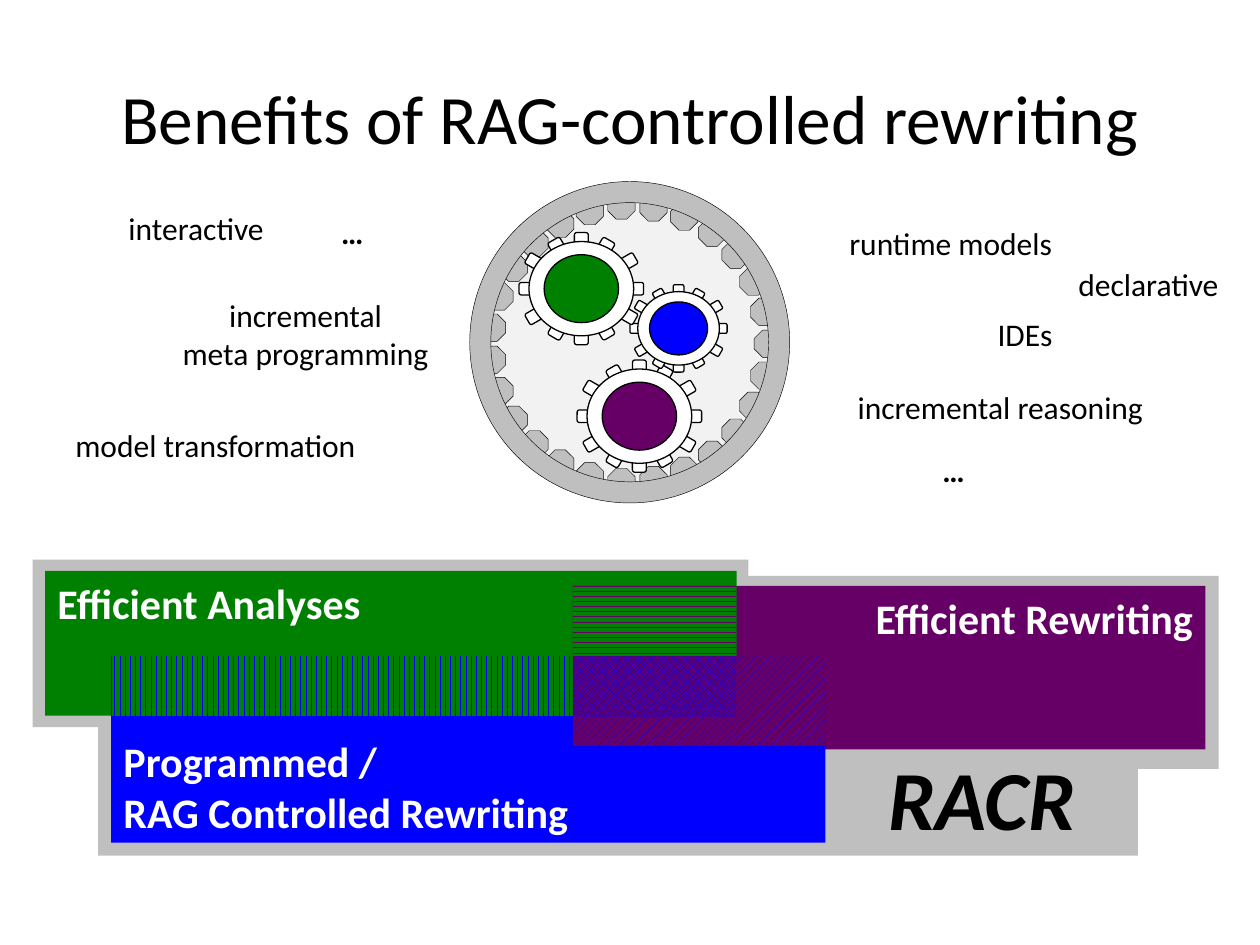
"""Build the slide on the benefits of RAG-controlled rewriting."""
from dataclasses import dataclass
from math import cos, radians, sin

from pptx import Presentation
from pptx.dml.color import RGBColor as Rgb
from pptx.enum.dml import MSO_PATTERN_TYPE as Hatch
from pptx.enum.shapes import MSO_SHAPE as Kind
from pptx.enum.text import MSO_ANCHOR as Anchor
from pptx.enum.text import MSO_AUTO_SIZE as Fit
from pptx.enum.text import PP_ALIGN as Align
from pptx.util import Cm, Pt


@dataclass(frozen=True)
class Theme:
    """Hold the colours and type sizes."""
    font: str = "Calibri"
    black: Rgb = Rgb(0, 0, 0)
    white: Rgb = Rgb(255, 255, 255)
    pale: Rgb = Rgb(0xF2, 0xF2, 0xF2)
    grey: Rgb = Rgb(0xBF, 0xBF, 0xBF)
    green: Rgb = Rgb(0, 0x80, 0)
    blue: Rgb = Rgb(0, 0, 255)
    plum: Rgb = Rgb(0x66, 0, 0x66)
    title: float = 39.6
    label: float = 18
    head: float = 24
    logo: float = 48
    thin: float = 0.25
    line: float = 0.75


T = Theme()


def write(shape, text, size, color=T.black, align=Align.LEFT,
          anchor=Anchor.TOP, bold=False, italic=False):
    """Set the text of a shape and format it."""
    frame = shape.text_frame
    frame.text = text
    frame.vertical_anchor = anchor
    for para in frame.paragraphs:
        para.alignment = align
        for run in para.runs:
            font = run.font
            font.name, font.size = T.font, Pt(size)
            font.bold, font.italic = bold, italic
            font.color.rgb = color


def add_text(slide, box, text, size, wrap=True, **style):
    """Add a text box."""
    shape = slide.shapes.add_textbox(*map(Cm, box))
    write(shape, text, size, **style)
    shape.text_frame.word_wrap = wrap
    if not wrap:
        shape.text_frame.auto_size = Fit.SHAPE_TO_FIT_TEXT
    return shape


def add_form(home, kind, box, fill, line=0, adj=None, turn=0):
    """Add a filled preset shape."""
    shape = home.shapes.add_shape(kind, *map(Cm, box))
    shape.shadow.inherit = False
    shape.rotation = turn
    if adj is not None:
        shape.adjustments[0] = adj
    shape.fill.solid()
    shape.fill.fore_color.rgb = fill
    if line:
        shape.line.color.rgb = T.black
        shape.line.width = Pt(line)
    else:
        shape.line.fill.background()
    return shape


def add_mid(home, kind, x, y, wide, high, fill, line, **more):
    """Add a shape by its centre."""
    box = (x - wide / 2, y - high / 2, wide, high)
    return add_form(home, kind, box, fill, line, **more)


def add_ring(slide, x, y, radius, count):
    """Add the inner teeth of the outer wheel."""
    group = slide.shapes.add_group_shape()
    for i in range(count):
        turn = radians(360 * i / count)
        add_mid(group, Kind.OCTAGON, x + radius * cos(turn),
                y + radius * sin(turn), 0.55, 0.55, T.grey, T.thin, adj=0.308)


def add_gear(slide, x, y, color, scale=1):
    """Add a gear with twelve teeth and a coloured hub."""
    group = slide.shapes.add_group_shape()
    for turn in (0, 270, 300, 330, 240, 210):
        size = (0.25, 2.51) if 240 <= turn <= 300 else (0.28, 2.26)
        add_mid(group, Kind.ROUNDED_RECTANGLE, x, y,
                *(scale * s for s in size), T.white, T.line, turn=turn)
    for wide, high, fill in ((2.11, 1.9, T.white), (1.5, 1.37, color)):
        add_mid(group, Kind.OVAL, x, y, scale * wide, scale * high,
                fill, T.line)


def add_tile(slide, left, top, right, low, hatch, fore, back):
    """Add a hatched overlap between two blocks."""
    box = (left, top, right - left, low - top)
    fill = add_form(slide, Kind.RECTANGLE, box, back).fill
    fill.patterned()
    fill.pattern = hatch
    fill.fore_color.rgb, fill.back_color.rgb = fore, back


def add_labels(slide):
    """Add the words around the wheel."""
    mid = Align.CENTER
    for x, y, wide, text, align in (
            (2.34, 4.09, 3.3, "interactive", None),
            (16.84, 4.39, 4.65, "runtime models", mid),
            (1.27, 8.46, 6.25, "model transformation", None),
            (17.04, 7.7, 6.35, "incremental reasoning", None),
            (3.38, 5.84, 5.56, "incremental\nmeta programming", mid),
            (19.86, 6.22, 1.63, "IDEs", None),
            (18.75, 8.97, 0.97, "…", None),
            (6.63, 4.17, 0.97, "…", None),
            (21.49, 5.21, 3.38, "declarative", None)):
        high = 1.8 if "\n" in text else 1.02
        add_text(slide, (x, y, wide, high), text, T.label, wrap=False,
                 align=align, bold=text == "…")


def add_wheel(slide):
    """Add the outer wheel and its three gears."""
    add_form(slide, Kind.DONUT, (9.47, 3.66, 6.45, 6.48), T.grey,
             T.thin, adj=0.066)
    add_gear(slide, 12.89, 8.39, T.plum)
    add_gear(slide, 13.68, 6.62, T.blue, 0.78)
    add_gear(slide, 11.72, 5.82, T.green)


def add_blocks(slide):
    """Add the three blocks, their backing and their overlaps."""
    for box in ((11.13, 11.61, 13.44, 3.89), (0.66, 11.28, 14.43, 3.38),
                (1.98, 14, 20.96, 3.25)):
        add_form(slide, Kind.RECTANGLE, box, T.grey)
    for box, fill, text, align, anchor in (
            ((10.03, 11.81, 14.27, 3.3), T.plum, "Efficient Rewriting",
             Align.RIGHT, Anchor.TOP),
            ((0.91, 11.51, 13.94, 2.92), T.green, "Efficient Analyses",
             Align.LEFT, Anchor.TOP),
            ((2.24, 13.69, 14.4, 3.3), T.blue,
             "Programmed /\nRAG Controlled Rewriting",
             Align.LEFT, Anchor.BOTTOM)):
        block = add_form(slide, Kind.RECTANGLE, box, fill)
        write(block, text, T.head, T.white, align, anchor, bold=True)

    logo = add_text(slide, (16.64, 15.16, 6.32, 1.83), "RACR", T.logo,
                    align=Align.CENTER, anchor=Anchor.MIDDLE,
                    bold=True, italic=True)
    frame = logo.text_frame
    frame.margin_left = frame.margin_right = 0
    frame.margin_top = frame.margin_bottom = 0

    x1, x2, x3, x4 = 2.24, 11.55, 14.84, 16.64
    y1, y2, y3, y4 = 11.81, 13.23, 14.44, 15.04
    wide = Hatch.WIDE_UPWARD_DIAGONAL
    for tile in (
            (x1, y2, x2, y3, Hatch.DARK_VERTICAL, T.green, T.blue),
            (x2, y1, x3, y2, Hatch.DARK_HORIZONTAL, T.green, T.plum),
            (x3, y2, x4, y4, wide, T.blue, T.plum),
            (x2, y2, x3, y3, Hatch.SMALL_CHECKER_BOARD, T.blue, T.plum),
            (x2, y3, x3, y4, wide, T.blue, T.plum)):
        add_tile(slide, *tile)


def main():
    """Build and save the slide."""
    deck = Presentation()
    deck.slide_width, deck.slide_height = Cm(25.4), Cm(19.05)
    slide = deck.slides.add_slide(deck.slide_layouts[6])
    add_form(slide, Kind.OVAL, (9.7, 3.89, 5.99, 5.99), T.pale)
    add_ring(slide, 12.69, 6.93, 2.79, 27)
    add_text(slide, (1.27, 0.76, 22.86, 3.18),
             "Benefits of RAG-controlled rewriting", T.title,
             align=Align.CENTER, anchor=Anchor.MIDDLE)
    add_labels(slide)
    add_wheel(slide)
    add_blocks(slide)
    deck.save("out.pptx")


if __name__ == "__main__":
    main()
